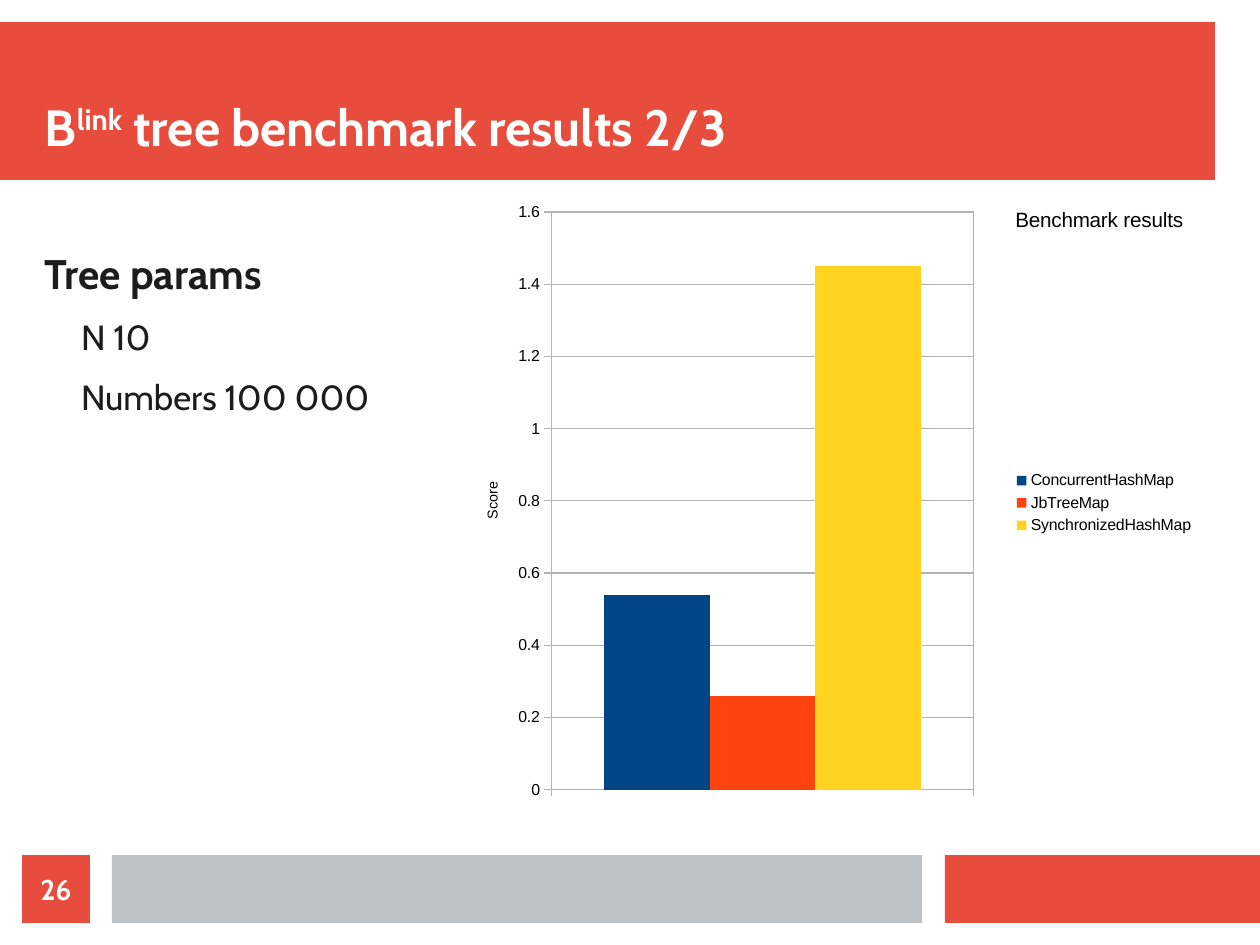
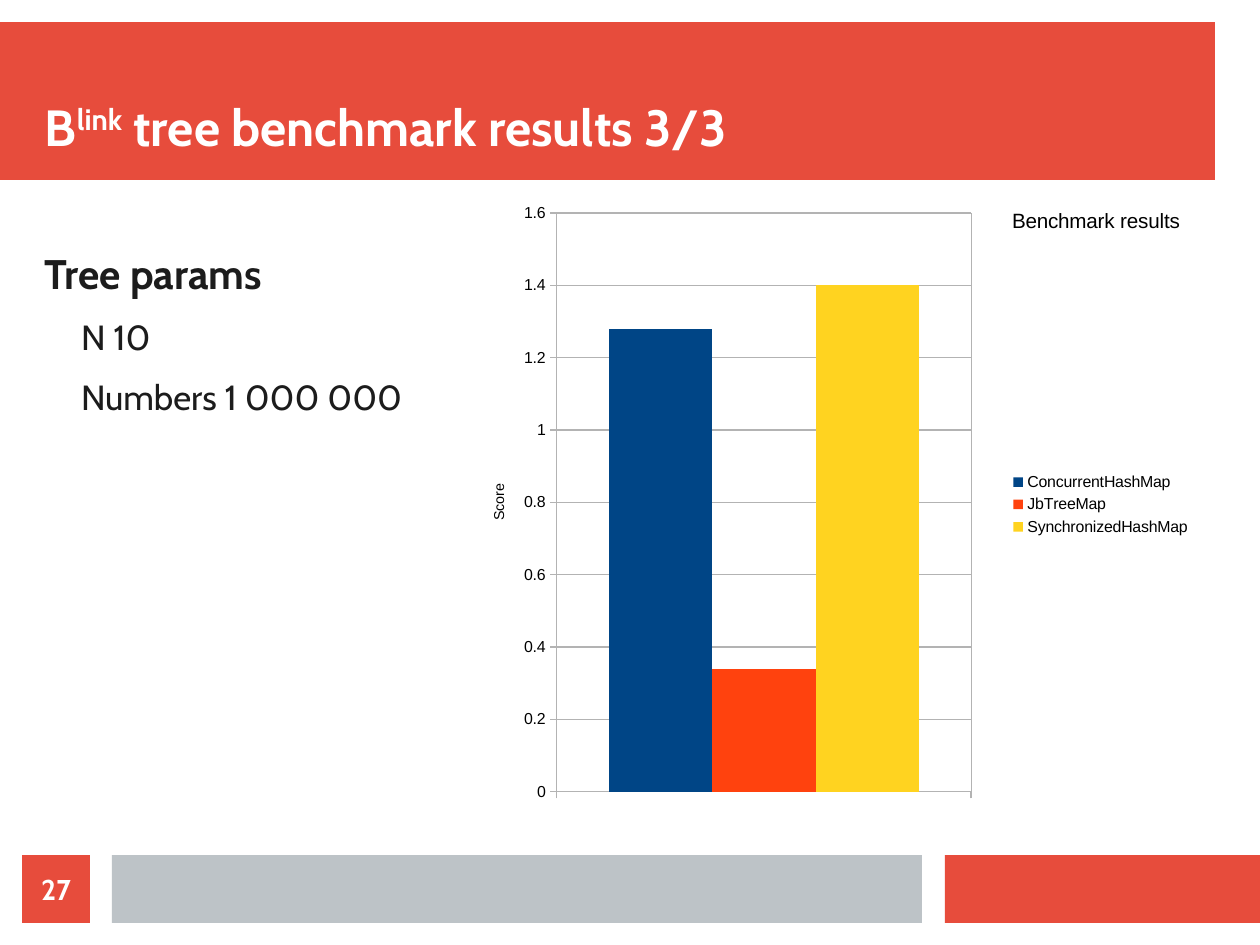
from lxml.etree import SubElement
from pptx import Presentation
from pptx.chart.data import CategoryChartData
from pptx.dml.color import RGBColor
from pptx.enum.chart import (
    XL_CHART_TYPE as ChartType,
    XL_LEGEND_POSITION as LegendSide,
    XL_TICK_LABEL_POSITION as LabelSide,
    XL_TICK_MARK as Tick,
)
from pptx.enum.shapes import MSO_SHAPE as Preset
from pptx.enum.text import MSO_ANCHOR as Anchor, MSO_AUTO_SIZE as AutoSize, PP_ALIGN as Align
from pptx.oxml import parse_xml
from pptx.oxml.ns import nsdecls, qn
from pptx.util import Pt

PX = 8000
COLORS = {
    "red": "E74C3C", "grey": "BDC3C7", "white": "FFFFFF", "ink": "1C1C1C",
    "black": "000000", "grid": "B3B3B3",
}
SERIES_COLORS = {"ConcurrentHashMap": "004586", "JbTreeMap": "FF420E", "SynchronizedHashMap": "FFD320"}
BANDS = [((0, 22, 1215, 158), "red"), ((945, 855, 315, 68), "red"), ((112, 855, 810, 68), "grey")]
RESULTS = [
    {"number": 26, "part": "2/3", "numbers": "100 000",
     "at": (450, 197, 759, 614), "scores": (0.54, 0.26, 1.45)},
    {"number": 27, "part": "3/3", "numbers": "1 000 000",
     "at": (457, 198, 745, 615), "scores": (1.28, 0.34, 1.4)},
]


def rgb(name):
    """Return the named colour."""
    return RGBColor.from_string(COLORS[name])


def arrange(element, after=None, **fractions):
    """Give a chart part a manual layout, in fractions of the chart."""
    for old in element.findall(qn("c:layout")):
        element.remove(old)
    layout = parse_xml(f"<c:layout {nsdecls('c')}/>")
    manual = SubElement(layout, qn("c:manualLayout"))
    if "w" in fractions:
        SubElement(manual, qn("c:layoutTarget"), val="outer")
    for side in "xy":
        SubElement(manual, qn(f"c:{side}Mode"), val="edge")
    for side, value in fractions.items():
        SubElement(manual, qn(f"c:{side}"), val=str(value))
    if after:
        element.find(qn(after)).addnext(layout)
    else:
        element.insert(0, layout)


def area_format(fill, outline):
    """Build the fill and outline of a chart area."""
    return parse_xml(f'<c:spPr {nsdecls("c", "a")}>{fill}<a:ln w="0">{outline}</a:ln></c:spPr>')


def solid(name):
    """Return the XML of a solid colour."""
    return f'<a:solidFill><a:srgbClr val="{COLORS[name]}"/></a:solidFill>'


class Slides:
    """Hold the deck style and the current page."""

    def __init__(self):
        """Start the deck and put the bands on its title layout."""
        self.deck = Presentation()
        self.deck.slide_width, self.deck.slide_height = 1260 * PX, 945 * PX
        self.layout = self.deck.slide_layouts[5]
        self.page = None

    def new_page(self):
        """Add a page, with the shared bands placed on the layout once."""
        first = self.page is None
        self.page = self.deck.slides.add_slide(self.layout)
        if first:
            for order, (at, color) in enumerate(BANDS):
                band = self.block(at, color).element
                band.xpath("./p:nvSpPr/p:cNvPr")[0].set("id", str(100 + order))
                self.layout.shapes.element.insert(2 + order, band)

    def block(self, at, color):
        """Draw a plain filled rectangle."""
        box = self.page.shapes.add_shape(Preset.RECTANGLE, *(PX * length for length in at))
        box.shadow.inherit = False
        box.fill.solid()
        box.fill.fore_color.rgb = rgb(color)
        box.line.fill.background()
        return box

    def frame(self, box, anchor):
        """Prepare the text frame of a box without margins."""
        frame = box.text_frame
        frame.word_wrap, frame.auto_size, frame.vertical_anchor = True, AutoSize.NONE, anchor
        frame.margin_left = frame.margin_top = frame.margin_right = frame.margin_bottom = 0
        return frame

    def font(self, font, size, color="black", bold=False, name="Arial"):
        """Apply a text style."""
        font.size, font.bold, font.name = Pt(size), bold, name
        font.color.rgb = rgb(color)

    def span(self, para, text, size, color, bold=True, baseline=0):
        """Add a run to a paragraph."""
        span = para.add_run()
        span.text = text
        self.font(span.font, size, color, bold, "Cabin")
        if baseline:
            span.font._element.set("baseline", str(baseline * 1000))

    def title(self, part):
        """Fill the title placeholder."""
        box = self.page.shapes.title
        box.left, box.top, box.width, box.height = (PX * length for length in (45, 45, 1170, 112))
        para = self.frame(box, Anchor.BOTTOM).paragraphs[0]
        para.alignment = Align.LEFT
        self.span(para, "B", 32, "white")
        self.span(para, "link", 32, "white", baseline=33)
        self.span(para, f" tree benchmark results {part}", 32, "white")

    def params(self, heading, items):
        """Write a heading with indented lines below it."""
        box = self.page.shapes.add_textbox(*(PX * length for length in (45, 248, 1147, 585)))
        frame = self.frame(box, Anchor.TOP)
        para = frame.paragraphs[0]
        para.space_after = Pt(11.4)
        self.span(para, heading, 26, "ink")
        for item in items:
            para = frame.add_paragraph()
            para.level, para.space_after = 1, Pt(11.3)
            properties = para._p.get_or_add_pPr()
            properties.set("marL", str(36 * PX))
            properties.set("indent", "0")
            self.span(para, item, 22, "ink", bold=False)

    def number(self, value):
        """Draw the page number block."""
        para = self.frame(self.block((22, 855, 68, 68), "red"), Anchor.MIDDLE).paragraphs[0]
        para.alignment = Align.CENTER
        self.span(para, str(value), 18, "white")

    def caption(self, owner, text, size, x, y):
        """Write and place the title of a chart or an axis."""
        frame = owner.text_frame
        frame.text = text
        self.font(frame.paragraphs[0].runs[0].font, size)
        arrange(owner._element, "c:tx", x=x, y=y)
        return frame

    def hairline(self, line):
        """Make a chart line thin and grey."""
        line.color.rgb = rgb("grid")
        line.width = 0

    def chart(self, at, scores):
        """Draw the score column chart."""
        data = CategoryChartData()
        data.categories = ["1"]
        for name, score in zip(SERIES_COLORS, scores):
            data.add_series(name, [score])
        chart = self.page.shapes.add_chart(
            ChartType.COLUMN_CLUSTERED, *(PX * length for length in at), data).chart
        self.font(chart.font, 10)
        chart.has_title = chart.has_legend = True
        self.caption(chart.chart_title, "Benchmark results", 13, 0.74, 0.01)
        chart.chart_title.include_in_layout = False

        legend = chart.legend
        legend.position, legend.include_in_layout = LegendSide.RIGHT, False
        self.font(legend.font, 10)
        arrange(legend._element, "c:legendPos", x=0.74, y=0.44)

        plot = chart.plots[0]
        plot.gap_width, plot.overlap, plot.vary_by_categories = 100, 0, False
        for series, color in zip(plot.series, SERIES_COLORS.values()):
            series.format.fill.solid()
            series.format.fill.fore_color.rgb = RGBColor.from_string(color)

        scale = chart.value_axis
        for axis in (chart.category_axis, scale):
            axis.major_tick_mark, axis.minor_tick_mark = Tick.OUTSIDE, Tick.NONE
            self.font(axis.tick_labels.font, 10)
            self.hairline(axis.format.line)
        chart.category_axis.tick_label_position = LabelSide.NONE
        scale.minimum_scale, scale.maximum_scale, scale.major_unit = 0, 1.6, 0.2
        scale.tick_labels.number_format = "General"
        scale.tick_labels.number_format_is_linked = False
        scale.has_major_gridlines = scale.has_title = True
        self.hairline(scale.major_gridlines.format.line)
        frame = self.caption(scale.axis_title, "Score", 9, 0.04, 0.46)
        frame._txBody.bodyPr.set("rot", "-5400000")
        frame._txBody.bodyPr.set("vert", "horz")

        area = chart.element.find(f"{qn('c:chart')}/{qn('c:plotArea')}")
        arrange(area, x=0.09, y=0.01, w=0.6, h=0.97)
        area.append(area_format("<a:noFill/>", solid("grid")))
        chart.element.find(qn("c:txPr")).addprevious(area_format(solid("white"), "<a:noFill/>"))


def main():
    """Build and save the deck."""
    slides = Slides()
    for result in RESULTS:
        slides.new_page()
        slides.title(result["part"])
        slides.params("Tree params", ["N 10", f"Numbers {result['numbers']}"])
        slides.chart(result["at"], result["scores"])
        slides.number(result["number"])
    slides.deck.save("out.pptx")


if __name__ == "__main__":
    main()
